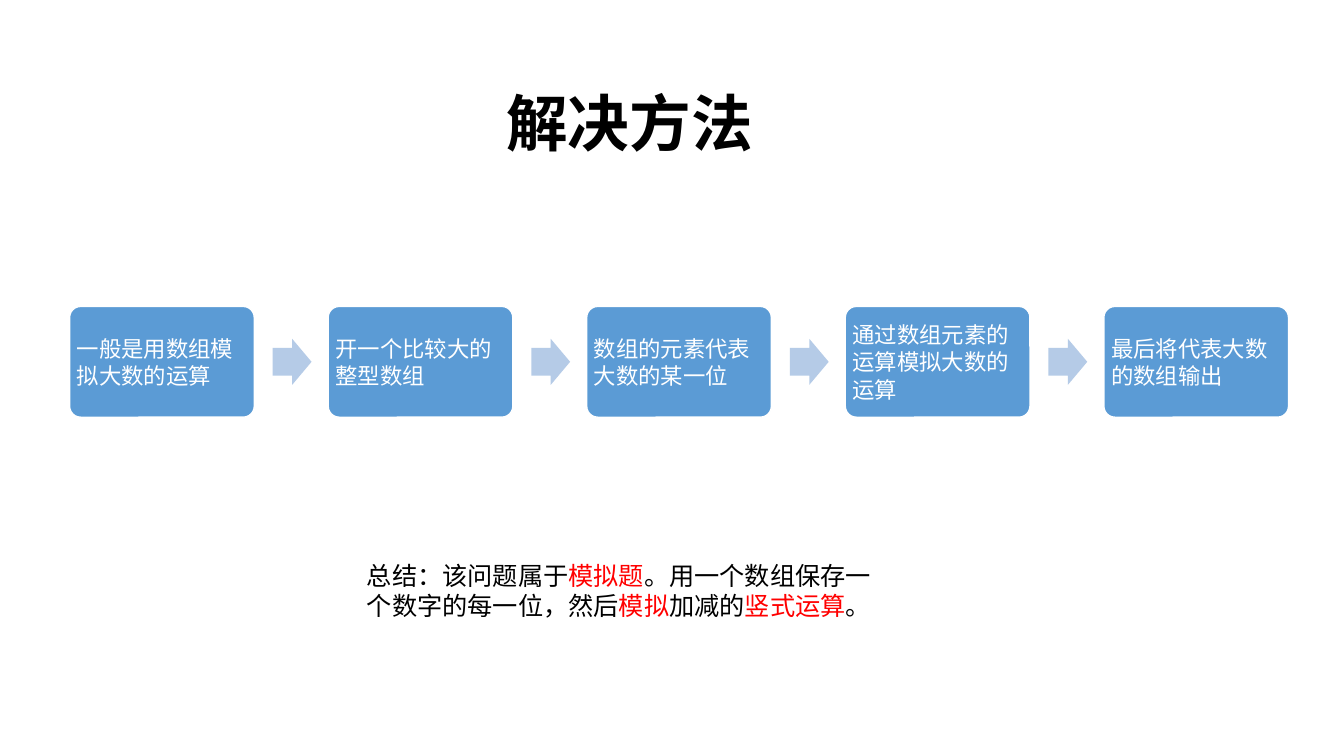
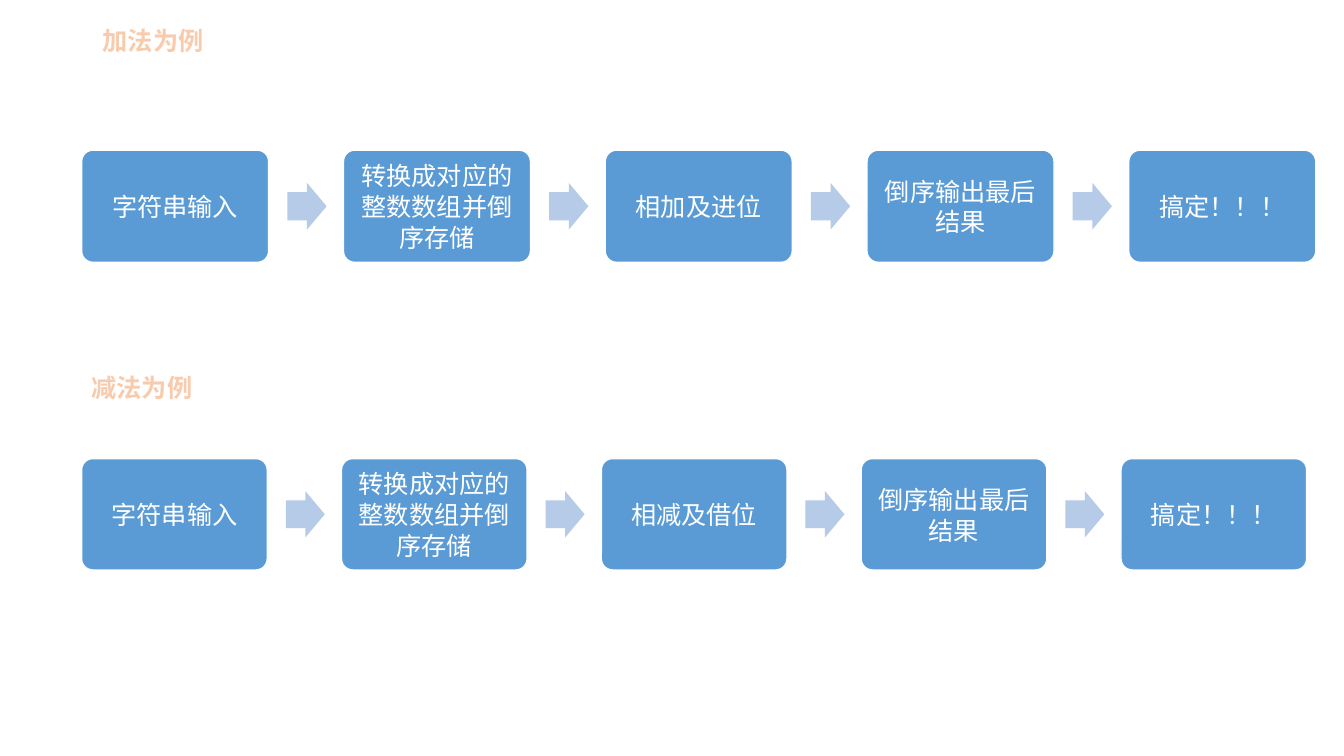
from lxml import etree
from pptx import Presentation
from pptx.dml.color import RGBColor
from pptx.enum.lang import MSO_LANGUAGE_ID
from pptx.enum.shapes import MSO_SHAPE
from pptx.enum.text import MSO_ANCHOR, PP_ALIGN
from pptx.oxml.ns import qn
from pptx.util import Inches, Pt

ROUND_RECT, RIGHT_ARROW = MSO_SHAPE.ROUNDED_RECTANGLE, MSO_SHAPE.RIGHT_ARROW
LEFT, CENTER = PP_ALIGN.LEFT, PP_ALIGN.CENTER
MIDDLE = MSO_ANCHOR.MIDDLE
CHINESE = MSO_LANGUAGE_ID.CHINESE_SINGAPORE

BLUE, PALE_BLUE, PEACH = "5B9BD5", "B5CBE7", "F8CBAD"
BLACK, WHITE, RED = "000000", "FFFFFF", "FF0000"
SANS, BODY = "Noto Sans CJK SC", "Calibri"
LINE_HEIGHT = 1.22

# Flow proportions, in box widths
PITCH, BOX_HEIGHT = 1.4, 0.6
ARROW_START, ARROW_WIDTH, ARROW_HEIGHT = 1.1, 0.21, 0.25


def rgb(value):
    return RGBColor.from_string(value)


def add_runs(tf, runs, size, font, align=LEFT, bold=False):
    """Fill the first paragraph with (text, colour) runs."""
    p = tf.paragraphs[0]
    p.alignment = align
    p.line_spacing = Pt(round(size * LINE_HEIGHT, 1))
    for text, color in runs:
        r = p.add_run()
        r.text = text
        r.font.size = Pt(size)
        r.font.bold = bold
        r.font.color.rgb = rgb(color)
        r.font.name = font
        r.font.language_id = CHINESE
        east_asian = etree.SubElement(r.font._element, qn("a:ea"))
        east_asian.set("typeface", font)


def add_label(s, box, runs, size, font=BODY, align=LEFT, bold=False):
    sp = s.shapes.add_textbox(*map(Inches, box))
    sp.text_frame.word_wrap = True
    add_runs(sp.text_frame, runs, size, font, align, bold)


def add_block(s, kind, box, fill, adjustments):
    sp = s.shapes.add_shape(kind, *map(Inches, box))
    sp.shadow.inherit = False
    for i, value in enumerate(adjustments):
        sp.adjustments[i] = value
    sp.fill.solid()
    sp.fill.fore_color.rgb = rgb(fill)
    sp.line.fill.background()
    return sp


def add_step(s, box, text, size, align):
    sp = add_block(s, ROUND_RECT, box, BLUE, [0.1])
    sp.line.color.rgb = rgb(WHITE)
    sp.line.width = Pt(1)
    tf = sp.text_frame
    tf.word_wrap = True
    tf.vertical_anchor = MIDDLE
    tf.margin_left = tf.margin_right = Inches(0.04)
    tf.margin_top = tf.margin_bottom = Inches(0.04)
    add_runs(tf, [(text, WHITE)], size, SANS, align)


def add_flow(s, left, top, width, steps, size=18, align=CENTER):
    """Spread boxes over the width, with an arrow in each gap."""
    w = width / (PITCH * (len(steps) - 1) + 1)
    h = w * BOX_HEIGHT
    arrow_h = w * ARROW_HEIGHT
    for i, text in enumerate(steps):
        x = left + i * w * PITCH
        add_step(s, (x, top, w, h), text, size, align)
        if i < len(steps) - 1:
            arrow = (x + w * ARROW_START, top + (h - arrow_h) / 2,
                     w * ARROW_WIDTH, arrow_h)
            add_block(s, RIGHT_ARROW, arrow, PALE_BLUE, [0.6, 0.5])


def add_example(s, heading_at, heading, flow_at, operation):
    add_label(s, (*heading_at, 1.37, 0.4), [(heading, PEACH)], 18, bold=True)
    add_flow(s, *flow_at, ["字符串输入", "转换成对应的整数数组并倒序存储",
                           operation, "倒序输出最后结果", "搞定！！！"])


def method_slide(s):
    add_flow(s, 0.69, 3.04, 12.09,
             ["一般是用数组模拟大数的运算", "开一个比较大的整型数组",
              "数组的元素代表大数的某一位", "通过数组元素的运算模拟大数的运算",
              "最后将代表大数的数组输出"], 16, LEFT)
    add_label(s, (4.91, 0.78, 2.67, 0.84), [("解决方法", BLACK)],
              44, SANS, CENTER, True)
    add_label(s, (3.54, 5.5, 5.36, 0.71),
              [("总结：该问题属于", BLACK), ("模拟题", RED),
               ("。用一个数组保存一个数字的每一位，然后", BLACK),
               ("模拟", RED), ("加减的", BLACK), ("竖式运算", RED),
               ("。", BLACK)], 18)


def examples_slide(s):
    add_example(s, (0.92, 0.2), "加法为例", (0.81, 1.49, 12.24), "相加及进位")
    add_example(s, (0.81, 3.64), "减法为例", (0.81, 4.55, 12.15), "相减及借位")


def main():
    prs = Presentation()
    prs.slide_width, prs.slide_height = Inches(13.33), Inches(7.5)
    for build in (method_slide, examples_slide):
        build(prs.slides.add_slide(prs.slide_layouts[6]))
    prs.save("out.pptx")


if __name__ == "__main__":
    main()
